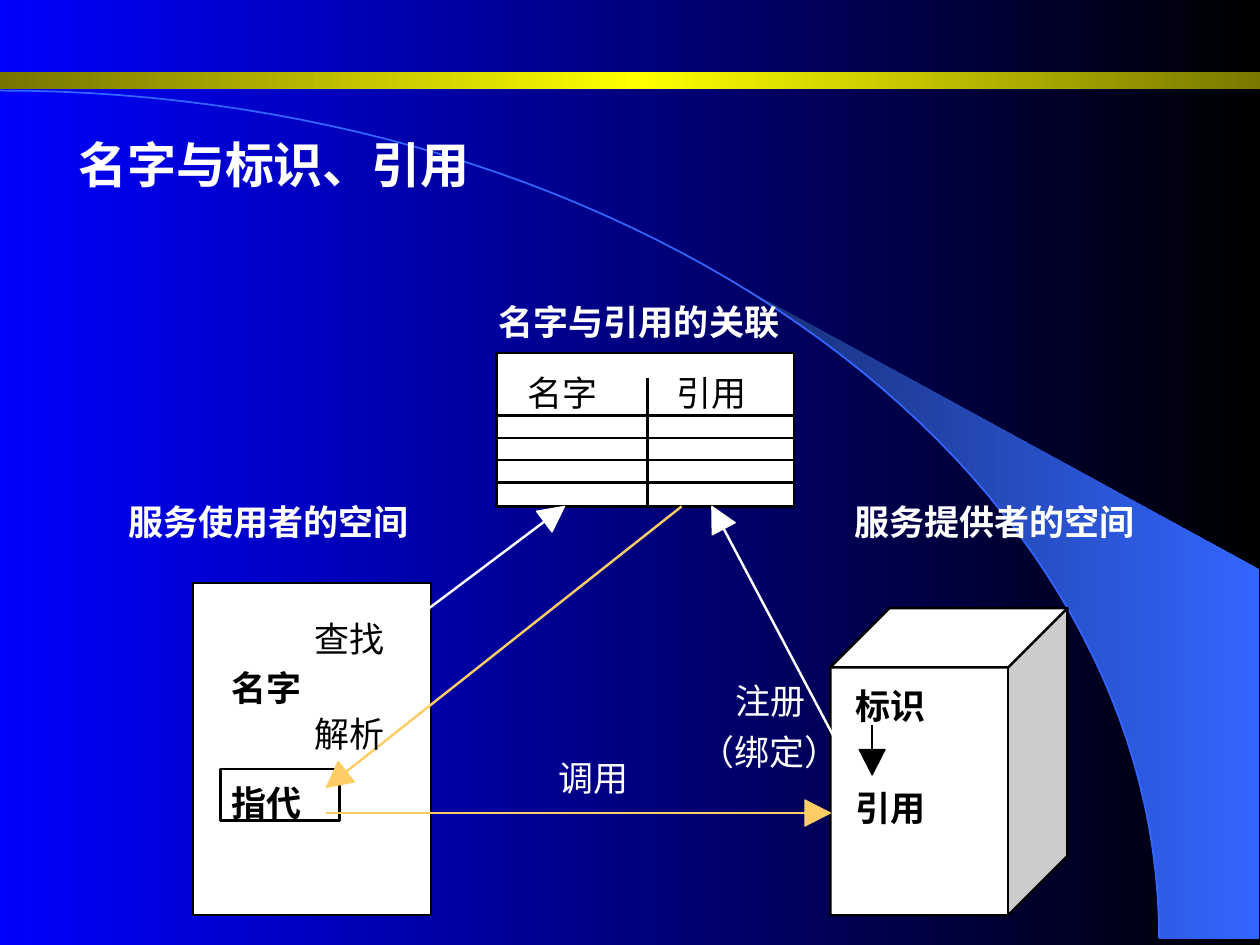
from dataclasses import dataclass
from math import asin, cos, hypot, pi, sin

from lxml.etree import SubElement
from pptx import Presentation
from pptx.dml.color import RGBColor
from pptx.enum.shapes import MSO_CONNECTOR, MSO_SHAPE
from pptx.enum.text import MSO_ANCHOR, MSO_AUTO_SIZE, PP_ALIGN
from pptx.oxml.ns import qn
from pptx.util import Pt

COLORS = {
    "blue": "0000FF", "black": "000000", "white": "FFFFFF",
    "wedge": "182F76", "arc": "3366FF", "olive": "767600",
    "yellow": "FFFF00", "gold": "FFCC66",
}
CJK_FONT = "Noto Sans CJK SC"
LABEL_SIZE, TITLE_SIZE = 20, 28
LINE_WIDTH = 1.4
HEAD_LENGTH, HEAD_HALF_WIDTH = 14.5, 7.4
ARC_RADIUS_X, ARC_RADIUS_Y, ARC_BOTTOM = 662.4, 484.6, 536.4
Point = tuple[float, float]


@dataclass
class Label:
    text: str
    left: float
    top: float
    color: str = "white"
    bold: bool = False


@dataclass
class Arrow:
    start: Point
    tip: Point
    color: str


LABELS = [
    Label("标识", 489, 391, "black", True),
    Label("引用", 489, 449.5, "black", True),
    Label("名字与引用的关联", 285, 171.5, bold=True),
    Label("指代", 132.5, 446.5, "black", True),
    Label("名字", 132.5, 381, "black", True),
    Label("服务使用者的空间", 73.5, 286, bold=True),
    Label("服务提供者的空间", 488.2, 286, bold=True),
    Label("查找", 180, 353, "black"),
    Label("注册", 420.5, 388),
    Label("（绑定）", 399.5, 417.5),
    Label("调用", 319, 432),
    Label("解析", 180, 407, "black"),
    Label("名字", 301.7, 212.5, "black"),
    Label("引用", 386.6, 212.5, "black"),
]
ARROWS = [
    Arrow((491.8, 450), (406.8, 289.4), "white"),
    Arrow((186.5, 391.7), (322.6, 289.4), "white"),
    Arrow((389.5, 289.4), (186.5, 450), "gold"),
    Arrow((498.4, 414), (498.4, 442.8), "black"),
    Arrow((186.5, 464.6), (474.5, 464.6), "gold"),
]


def rgb(color: str) -> RGBColor:
    return RGBColor.from_string(COLORS[color])


def line_width(text: str, size: float, margin: float = 0) -> float:
    """Width of one line of full-width characters, with a little slack."""
    return len(text) * size + 2 * margin + 1


def write(frame, text: str, *, size: float = LABEL_SIZE, color: str = "white",
          bold: bool = False, font: str = CJK_FONT, margins: Point = (0, 0)) -> None:
    frame.word_wrap = False
    frame.auto_size = MSO_AUTO_SIZE.SHAPE_TO_FIT_TEXT
    frame.vertical_anchor = MSO_ANCHOR.TOP
    frame.margin_left = frame.margin_right = Pt(margins[0])
    frame.margin_top = frame.margin_bottom = Pt(margins[1])
    paragraph = frame.paragraphs[0]
    paragraph.alignment = PP_ALIGN.LEFT
    run = paragraph.add_run()
    run.text = text
    run.font.size, run.font.bold, run.font.name = Pt(size), bold, font
    run.font.color.rgb = rgb(color)
    SubElement(run.font._element, qn("a:ea"), typeface=CJK_FONT)


def paint_gradient(fill, element, colors: list[str]) -> None:
    """Left-to-right gradient with evenly spaced stops."""
    fill.gradient()
    fill.gradient_angle = 0
    stops = next(element.iter(qn("a:gsLst")))
    for stop in list(stops):
        stops.remove(stop)
    for index, color in enumerate(colors):
        stop = SubElement(stops, qn("a:gs"), pos=str(index * 100000 // (len(colors) - 1)))
        SubElement(stop, qn("a:srgbClr"), val=COLORS[color])


def add_block(shapes, kind, left: float, top: float, width: float, height: float):
    block = shapes.add_shape(kind, Pt(left), Pt(top), Pt(width), Pt(height))
    block.shadow.inherit = False
    block.fill.solid()
    block.fill.fore_color.rgb = rgb("white")
    block.line.color.rgb = rgb("black")
    block.line.width = Pt(LINE_WIDTH)
    return block


def add_outline(shapes, points: list[Point], close: bool = True):
    (x, y), *rest = [(Pt(px), Pt(py)) for px, py in points]
    builder = shapes.build_freeform(x, y)
    builder.add_line_segments(rest, close=close)
    outline = builder.convert_to_shape()
    outline.shadow.inherit = False
    return outline


def add_line(shapes, start: Point, end: Point, color: str = "black") -> None:
    line = shapes.add_connector(MSO_CONNECTOR.STRAIGHT, *[Pt(v) for v in start + end])
    line.line.color.rgb = rgb(color)
    line.line.width = Pt(LINE_WIDTH)
    SubElement(line._element.spPr, qn("a:effectLst"))


def add_arrow(shapes, arrow: Arrow) -> None:
    (x, y), (tip_x, tip_y) = arrow.start, arrow.tip
    length = hypot(tip_x - x, tip_y - y)
    ux, uy = (tip_x - x) / length, (tip_y - y) / length
    base_x, base_y = tip_x - HEAD_LENGTH * ux, tip_y - HEAD_LENGTH * uy
    add_line(shapes, arrow.start, (base_x, base_y), arrow.color)
    side_x, side_y = -uy * HEAD_HALF_WIDTH, ux * HEAD_HALF_WIDTH
    head = add_outline(shapes, [(base_x + side_x, base_y + side_y), arrow.tip,
                                (base_x - side_x, base_y - side_y)])
    head.fill.solid()
    head.fill.fore_color.rgb = rgb(arrow.color)
    head.line.color.rgb = rgb(arrow.color)
    head.line.width = Pt(0.75)


def add_label(shapes, label: Label) -> None:
    width = line_width(label.text, LABEL_SIZE)
    box = shapes.add_textbox(Pt(label.left), Pt(label.top), Pt(width), Pt(24))
    write(box.text_frame, label.text, color=label.color, bold=label.bold)


def arc_points(first: float, steps: int = 60) -> list[Point]:
    """Points on the quarter ellipse from angle first to its right end."""
    angles = [first + (pi / 2 - first) * i / steps for i in range(steps + 1)]
    return [(ARC_RADIUS_X * sin(a), ARC_BOTTOM - ARC_RADIUS_Y * cos(a)) for a in angles]


def add_backdrop(slide) -> None:
    shapes = slide.shapes
    paint_gradient(slide.background.fill, slide.element, ["blue", "black"])
    wedge = add_outline(shapes, arc_points(asin(424 / ARC_RADIUS_X))
                        + [(719.3, ARC_BOTTOM), (719.3, 325.4)])
    paint_gradient(wedge.fill, wedge.element, ["wedge", "arc"])
    wedge.line.fill.background()
    arc = add_outline(shapes, arc_points(0), close=False)
    arc.fill.background()
    arc.line.color.rgb = rgb("arc")
    arc.line.width = Pt(1)
    band = add_block(shapes, MSO_SHAPE.RECTANGLE, 0, 41, 728, 10)
    paint_gradient(band.fill, band.element, ["olive", "yellow", "olive"])
    band.line.fill.background()


def add_title(shapes, text: str) -> None:
    """Fill the title placeholder and bring it in front of the backdrop."""
    title, margins = shapes.title, (7.2, 3.6)
    title.left, title.top = Pt(37.5), Pt(73.5)
    title.width, title.height = Pt(line_width(text, TITLE_SIZE, margins[0])), Pt(41)
    write(title.text_frame, text, size=TITLE_SIZE, bold=True,
          font="Times New Roman", margins=margins)
    title.element.getparent().append(title.element)


def main() -> None:
    deck = Presentation()
    deck.slide_width, deck.slide_height = Pt(720), Pt(540)
    slide = deck.slides.add_slide(deck.slide_layouts[5])
    shapes = slide.shapes
    add_backdrop(slide)
    add_title(shapes, "名字与标识、引用")

    # Provider, association table, user space and its reference slot
    add_block(shapes, MSO_SHAPE.CUBE, 474.5, 347.5, 135.5, 175.5)
    for box in [(283.7, 201.6, 170, 87.8), (110.3, 333.3, 136, 189.5), (126, 439.4, 68, 29.5)]:
        add_block(shapes, MSO_SHAPE.RECTANGLE, *box)

    # Rules of the association table
    add_line(shapes, (370, 216), (370, 289.4))
    for row in range(4):
        y = 237.4 + row * 12.8
        add_line(shapes, (283.7, y), (453.7, y))

    for arrow in ARROWS:
        add_arrow(shapes, arrow)
    for label in LABELS:
        add_label(shapes, label)

    deck.save("out.pptx")


if __name__ == "__main__":
    main()
